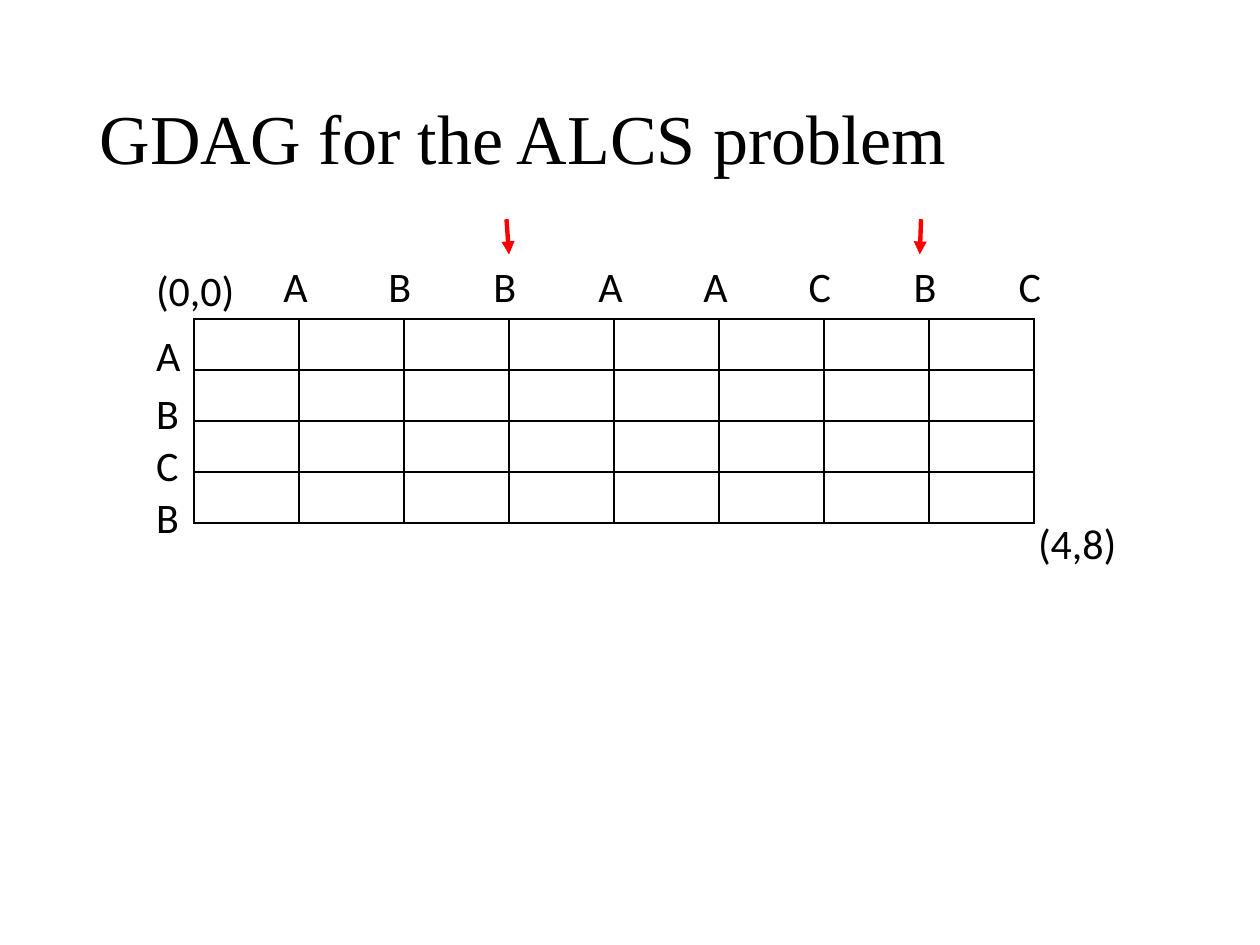
from collections import namedtuple
from dataclasses import dataclass

from lxml import etree
from pptx import Presentation
from pptx import util as u
from pptx.dml.color import RGBColor
from pptx.enum import shapes, text
from pptx.oxml import ns

Box = namedtuple("Box", "left top width height")


@dataclass(frozen=True)
class Theme:
    ink: str = "000000"
    accent: str = "FF0000"
    title_font: str = "Times New Roman"
    label_font: str = "Calibri"
    title_size: float = 40
    label_size: float = 24
    border_width: float = 1
    arrow_width: float = 2.5


THEME = Theme()
COLUMN_LETTERS = "ABBAACBC"
ROW_LETTERS = "ABCB"
ROW_LETTER_OFFSETS = (0.04, 0.5, 0.91, 1.32)
LETTER_WIDTHS = {"A": 0.4, "B": 0.38, "C": 0.38}
LABEL_HEIGHT = 0.5


def to_inches(box):
    return [u.Inches(length) for length in box]


def style_text(para, font_name, size):
    for span in para.runs:
        span.font.name = font_name
        span.font.size = u.Pt(size)
        span.font.color.rgb = RGBColor.from_string(THEME.ink)


def add_title(page, box, wording):
    title = page.shapes.title
    title.left, title.top, title.width, title.height = to_inches(box)
    frame = title.text_frame
    frame.text = wording
    frame.vertical_anchor = text.MSO_ANCHOR.MIDDLE
    para = frame.paragraphs[0]
    para.alignment = text.PP_ALIGN.LEFT
    para.line_spacing = 0.9
    style_text(para, THEME.title_font, THEME.title_size)


def add_label(page, left, top, width, wording):
    label = page.shapes.add_textbox(*to_inches(Box(left, top, width, LABEL_HEIGHT)))
    frame = label.text_frame
    frame.text = wording
    frame.word_wrap = False
    frame.auto_size = text.MSO_AUTO_SIZE.SHAPE_TO_FIT_TEXT
    style_text(frame.paragraphs[0], THEME.label_font, THEME.label_size)


def add_borders(cell):
    properties = cell._tc.get_or_add_tcPr()
    for position, side in enumerate(("lnL", "lnR", "lnT", "lnB")):
        line = etree.Element(ns.qn(f"a:{side}"), w=str(u.Pt(THEME.border_width)))
        fill = etree.SubElement(line, ns.qn("a:solidFill"))
        etree.SubElement(fill, ns.qn("a:srgbClr"), val=THEME.ink)
        properties.insert(position, line)


def add_grid(page, box):
    frame = page.shapes.add_table(len(ROW_LETTERS), len(COLUMN_LETTERS), *to_inches(box))
    grid = frame.table
    grid.first_row = grid.horz_banding = False
    for cell in grid.iter_cells():
        cell.fill.background()
        add_borders(cell)


def add_grid_labels(page, box):
    # Letters of the two strings
    pitch = box.width / len(COLUMN_LETTERS)
    for column, letter in enumerate(COLUMN_LETTERS):
        left = box.left + 0.61 + column * pitch
        add_label(page, left, box.top - 0.51, LETTER_WIDTHS[letter], letter)
    for letter, offset in zip(ROW_LETTERS, ROW_LETTER_OFFSETS):
        add_label(page, box.left - 0.4, box.top + offset, LETTER_WIDTHS[letter], letter)

    # Corner coordinates
    add_label(page, box.left - 0.4, box.top - 0.48, 0.83, "(0,0)")
    add_label(page, box.left + box.width - 0.07, box.top + box.height - 0.09, 0.83, "(4,8)")


def add_arrow(page, start, end):
    arrow = page.shapes.add_connector(
        shapes.MSO_CONNECTOR.STRAIGHT, *to_inches(start + end))
    arrow.line.color.rgb = RGBColor.from_string(THEME.accent)
    arrow.line.width = u.Pt(THEME.arrow_width)
    etree.SubElement(arrow.line._get_or_add_ln(), ns.qn("a:tailEnd"), type="triangle")
    etree.SubElement(arrow._element.spPr, ns.qn("a:effectLst"))


def add_column_arrows(page, box):
    top, bottom = box.top - 0.79, box.top - 0.51
    for start, end in ((2.48, 2.5), (5.77, 5.76)):
        add_arrow(page, (box.left + start, top), (box.left + end, bottom))


def main():
    deck = Presentation()
    deck.slide_width, deck.slide_height = u.Inches(10), u.Inches(7.5)
    page = deck.slides.add_slide(deck.slide_layouts.get_by_name("Title Only"))
    grid_box = Box(1.54, 2.53, 6.67, 1.62)

    add_title(page, Box(0.69, 0.4, 8.62, 1.45), "GDAG for the ALCS problem")
    add_grid(page, grid_box)
    add_grid_labels(page, grid_box)
    add_column_arrows(page, grid_box)
    deck.save("out.pptx")


if __name__ == "__main__":
    main()
